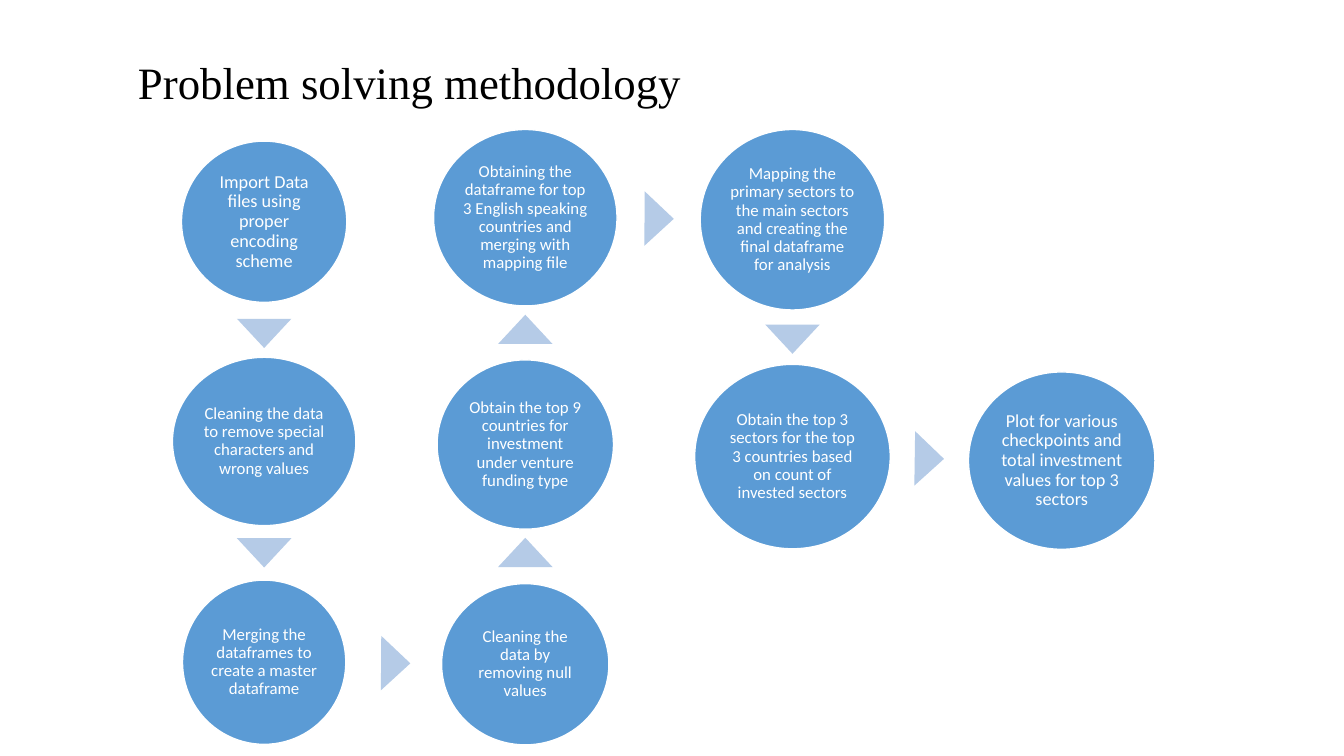
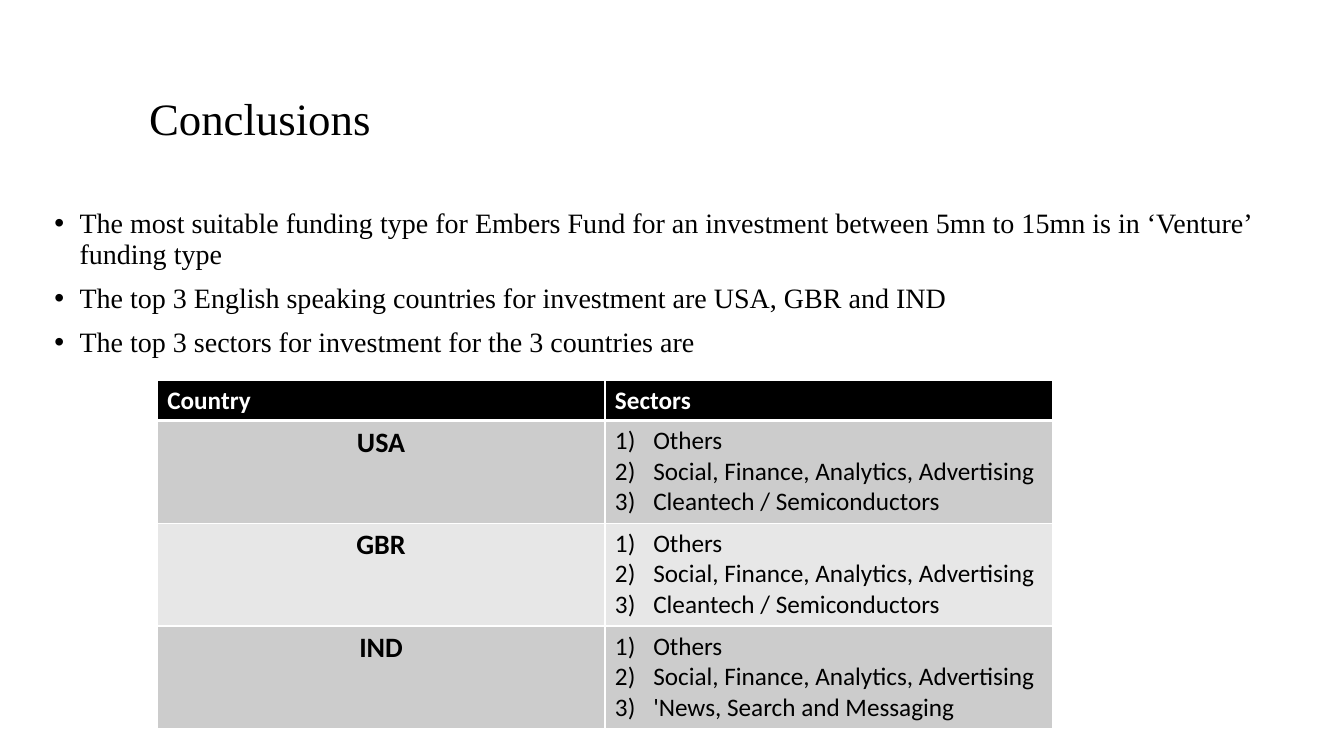
"""Build a two-slide deck: a process flow and its conclusions."""
import dataclasses
import math

import lxml.etree
import pptx
import pptx.dml.color
import pptx.enum.shapes
import pptx.enum.text
import pptx.oxml.ns
import pptx.util

Inches = pptx.util.Inches
ALIGN = pptx.enum.text.PP_ALIGN
ANCHOR = pptx.enum.text.MSO_ANCHOR
SHAPE = pptx.enum.shapes.MSO_SHAPE


@dataclasses.dataclass(frozen=True)
class Theme:
    """Colours, fonts and type sizes shared by the slides."""
    black: str = "000000"
    white: str = "FFFFFF"
    circle: str = "5B9BD5"
    arrow: str = "B5CBE7"
    bands: tuple = ("CCCCCC", "E7E7E7")
    serif: str = "Times New Roman"
    sans: str = "Calibri"
    title_size: int = 32
    bullet_size: int = 20
    country_size: int = 20
    table_size: int = 18
    step_size: int = 12
    end_step_size: int = 13


THEME = Theme()


@dataclasses.dataclass(frozen=True)
class Step:
    """One circle of the flow, placed by its centre, in inches."""
    text: str
    x: float
    y: float
    width: float
    height: float
    size: int = THEME.step_size


COLUMNS = (2.62, 5.21, 7.86, 10.53)
STEPS = (
    Step("Import Data files using proper encoding scheme",
         COLUMNS[0], 2.2, 1.64, 1.6, THEME.end_step_size),
    Step("Cleaning the data to remove special characters and wrong values",
         COLUMNS[0], 4.38, 1.82, 1.67),
    Step("Merging the dataframes to create a master dataframe",
         COLUMNS[0], 6.57, 1.62, 1.63),
    Step("Cleaning the data by removing null values",
         COLUMNS[1], 6.59, 1.66, 1.6),
    Step("Obtain the top 9 countries for investment under venture funding type",
         COLUMNS[1], 4.41, 1.75, 1.68),
    Step("Obtaining the dataframe for top 3 English speaking countries and "
         "merging with mapping file", COLUMNS[1], 2.16, 1.82, 1.75),
    Step("Mapping the primary sectors to the main sectors and creating the "
         "final dataframe for analysis", COLUMNS[2], 2.18, 1.83, 1.79),
    Step("Obtain the top 3 sectors for the top 3 countries based on count of "
         "invested sectors", COLUMNS[2], 4.53, 1.94, 1.83),
    Step("Plot for various checkpoints and total investment values for top 3 "
         "sectors", COLUMNS[3], 4.57, 1.85, 1.76, THEME.end_step_size),
)
FINDINGS = (
    "The most suitable funding type for Embers Fund for an investment between "
    "5mn to 15mn is in ‘Venture’ funding type",
    "The top 3 English speaking countries for investment are USA, GBR and IND",
    "The top 3 sectors for investment for the 3 countries are",
)
LEADING_SECTORS = ("Others", "Social, Finance, Analytics, Advertising")
SECTORS = {
    "USA": (*LEADING_SECTORS, "Cleantech / Semiconductors"),
    "GBR": (*LEADING_SECTORS, "Cleantech / Semiconductors"),
    "IND": (*LEADING_SECTORS, "'News, Search and Messaging"),
}


def set_values(target, values):
    """Set each attribute named in a dict of format values."""
    for name, value in values.items():
        setattr(target, name, value)


def set_fill(fill, colour):
    """Give a fill one solid colour."""
    fill.solid()
    fill.fore_color.rgb = pptx.dml.color.RGBColor.from_string(colour)


def add_element(parent, tag, **attributes):
    """Append a DrawingML element to a parent element."""
    return lxml.etree.SubElement(parent, pptx.oxml.ns.qn(tag), attributes)


def write_paragraphs(frame, lines, size, font, colour, bold=False, layout=None):
    """Write lines as paragraphs with one text format."""
    for index, line in enumerate(lines):
        paragraph = frame.paragraphs[0] if index == 0 else frame.add_paragraph()
        set_values(paragraph, layout or {})
        run = paragraph.add_run()
        run.text = line
        set_values(run.font, {"size": pptx.util.Pt(size), "name": font, "bold": bold})
        run.font.color.rgb = pptx.dml.color.RGBColor.from_string(colour)


def add_markers(frame, indent, tag, **attributes):
    """Give each paragraph a hanging indent and a bullet or number."""
    for paragraph in frame.paragraphs:
        properties = paragraph._p.get_or_add_pPr()
        properties.set("marL", str(Inches(indent)))
        properties.set("indent", str(-Inches(indent)))
        add_element(properties, "a:buFont", typeface="Arial" if tag == "a:buChar" else "+mj-lt")
        add_element(properties, tag, **attributes)


def add_text_box(slide, left, top, width, height, anchor=ANCHOR.TOP):
    """Add a wrapping text box and return its text frame."""
    shape = slide.shapes.add_textbox(*map(Inches, (left, top, width, height)))
    set_values(shape.text_frame, {"word_wrap": True, "vertical_anchor": anchor})
    return shape.text_frame


def add_title(slide, text, left, top):
    """Add a slide title in the shared style."""
    frame = add_text_box(slide, left, top, 10.05, 0.94, ANCHOR.MIDDLE)
    write_paragraphs(frame, [text], THEME.title_size, THEME.serif, THEME.black,
                     layout={"line_spacing": 0.9})


def add_centred_shape(slide, kind, x, y, width, height, colour):
    """Add a flat filled shape around a centre point."""
    shape = slide.shapes.add_shape(
        kind, *map(Inches, (x - width / 2, y - height / 2, width, height)))
    shape.shadow.inherit = False
    set_fill(shape.fill, colour)
    return shape


def add_step(slide, step):
    """Add a circle holding the text of one step."""
    shape = add_centred_shape(slide, SHAPE.OVAL, step.x, step.y,
                              step.width, step.height, THEME.circle)
    set_fill(shape.line.fill, THEME.white)
    shape.line.width = pptx.util.Pt(1)
    margins = ("margin_left", "margin_top", "margin_right", "margin_bottom")
    set_values(shape.text_frame, {
        "word_wrap": True, "vertical_anchor": ANCHOR.MIDDLE,
        **dict.fromkeys(margins, Inches(0.02))})
    write_paragraphs(shape.text_frame, [step.text], step.size, THEME.sans, THEME.white,
                     layout={"alignment": ALIGN.CENTER, "line_spacing": 0.9})


def add_arrow(slide, start, end):
    """Add a triangle in the middle of the gap between two steps."""
    across, down = end.x - start.x, end.y - start.y
    x, y = (start.x + end.x) / 2, (start.y + end.y) / 2
    if abs(across) > abs(down):
        x += math.copysign((start.width - end.width) / 4, across)
    else:
        y += math.copysign((start.height - end.height) / 4, down)
    shape = add_centred_shape(slide, SHAPE.ISOSCELES_TRIANGLE, x, y, 0.54, 0.29, THEME.arrow)
    shape.line.fill.background()
    shape.rotation = 90 + math.degrees(math.atan2(down, across))


def add_borders(cell, **widths):
    """Draw white cell borders, one point wide unless a side is given."""
    properties = cell._tc.get_or_add_tcPr()
    for side in "LRTB":
        width = pptx.util.Pt(widths.get(side, 1))
        line = add_element(properties, f"a:ln{side}", w=str(width))
        add_element(add_element(line, "a:solidFill"), "a:srgbClr", val=THEME.white)


def add_sector_table(slide):
    """Add the table of leading sectors by country."""
    heights = [0.4] + [1.02] * len(SECTORS)
    table = slide.shapes.add_table(
        len(heights), 2, *map(Inches, (1.56, 3.77, 8.88, sum(heights)))).table
    for row, height in zip(table.rows, heights):
        row.height = Inches(height)
    for cell, heading in zip(table.rows[0].cells, ("Country", "Sectors")):
        add_borders(cell, B=3)
        set_fill(cell.fill, THEME.black)
        write_paragraphs(cell.text_frame, [heading], THEME.table_size,
                         THEME.sans, THEME.white, bold=True)
    for index, (country, sectors) in enumerate(SECTORS.items()):
        country_cell, sector_cell = table.rows[index + 1].cells
        for cell in (country_cell, sector_cell):
            add_borders(cell, T=1 if index else 3)
            set_fill(cell.fill, THEME.bands[index % 2])
        write_paragraphs(country_cell.text_frame, [country], THEME.country_size, THEME.sans,
                         THEME.black, bold=True, layout={"alignment": ALIGN.CENTER})
        write_paragraphs(sector_cell.text_frame, sectors, THEME.table_size,
                         THEME.sans, THEME.black)
        add_markers(sector_cell.text_frame, 0.38, "a:buAutoNum", type="arabicParenR")


def build_methodology(slide):
    """Fill the slide that shows the process flow."""
    add_title(slide, "Problem solving methodology", 1.27, 0.37)
    for step in STEPS:
        add_step(slide, step)
    for start, end in zip(STEPS, STEPS[1:]):
        add_arrow(slide, start, end)


def build_conclusions(slide):
    """Fill the slide that shows the findings and the sector table."""
    add_title(slide, "Conclusions", 1.38, 0.73)
    frame = add_text_box(slide, 0.44, 2.03, 12.21, 1.65)
    write_paragraphs(frame, FINDINGS, THEME.bullet_size, THEME.serif, THEME.black,
                     layout={"line_spacing": 0.9, "space_before": pptx.util.Pt(10)})
    add_markers(frame, 0.25, "a:buChar", char="•")
    add_sector_table(slide)


def main():
    """Build and save the presentation."""
    presentation = pptx.Presentation()
    set_values(presentation, {"slide_width": Inches(13.33), "slide_height": Inches(7.5)})
    for build in (build_methodology, build_conclusions):
        build(presentation.slides.add_slide(presentation.slide_layouts[6]))
    presentation.save("out.pptx")


if __name__ == "__main__":
    main()
